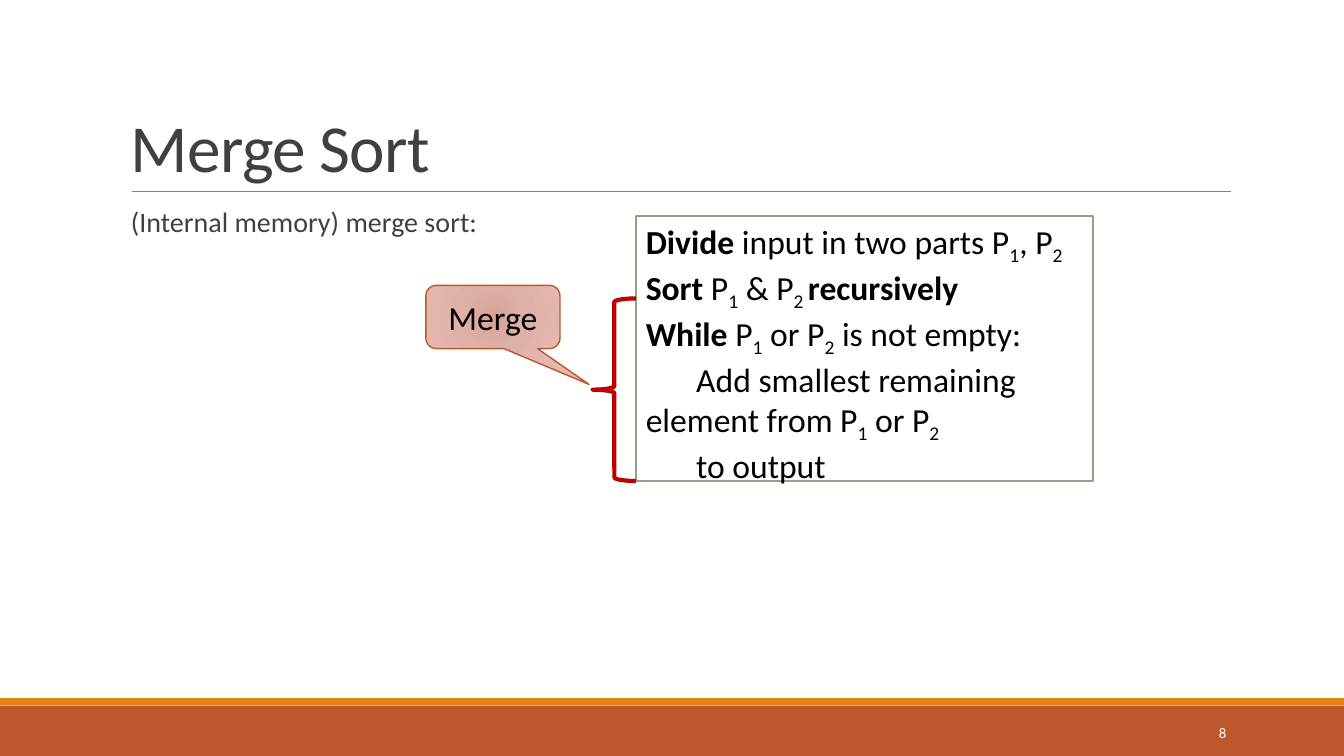
"""Build the merge sort slide."""
import lxml.etree
import pptx
import pptx.dml.color
import pptx.enum.shapes
import pptx.enum.text
import pptx.oxml.ns
import pptx.util

Pt = pptx.util.Pt
Color = pptx.dml.color.RGBColor
Kind = pptx.enum.shapes.MSO_SHAPE
Anchor = pptx.enum.text.MSO_ANCHOR
Align = pptx.enum.text.PP_ALIGN
qn = pptx.oxml.ns.qn

WHITE = Color(0xFF, 0xFF, 0xFF)
BLACK = Color(0, 0, 0)
DARK = Color(0x40, 0x40, 0x40)
GRAY = Color(0x80, 0x80, 0x80)
RUST = Color(0xBD, 0x58, 0x2C)
ORANGE = Color(0xE4, 0x83, 0x12)
SAGE = Color(0x94, 0xA0, 0x88)
RED = Color(0xC0, 0, 0)
BLUSH = [(0, "D7A197"), (45, "DEB1A8"), (100, "E6B7AE")]

TITLE = [[("Merge Sort", "")]]
INTRO = [[("(Internal memory) merge sort:", "")]]
NUMBER = [[("8", "")]]
MERGE = [[("Merge", "")]]
STEPS = [
    [("Divide", "bold"), (" input in two parts P", ""), ("1", "sub"),
     (", P", ""), ("2", "sub")],
    [("Sort", "bold"), (" P", ""), ("1", "sub"), (" & P", ""),
     ("2 ", "sub"), ("recursively", "bold")],
    [("While", "bold"), (" P", ""), ("1", "sub"), (" or P", ""),
     ("2", "sub"), (" is not empty:", "")],
    [("Add smallest remaining element from P", ""), ("1", "sub"),
     (" or P", ""), ("2", "sub")],
    [("to output", "")],
]
NESTED = 3
TAB = Pt(36)

deck = pptx.Presentation()
deck.slide_width, deck.slide_height = Pt(960), Pt(540)
slide = deck.slides.add_slide(deck.slide_layouts[6])
shapes = slide.shapes


def draw(kind, place, fill=None, line=None, width=1):
    """Add a preset shape with plain fill and line."""
    shape = shapes.add_shape(kind, *map(Pt, place))
    shape.shadow.inherit = False
    if fill is None:
        shape.fill.background()
    else:
        shape.fill.solid()
        shape.fill.fore_color.rgb = fill
    if line is None:
        shape.line.fill.background()
    else:
        shape.line.color.rgb = line
        shape.line.width = Pt(width)
    return shape


def write(shape, lines, size, color, frame=None, para=None, track=None):
    """Fill a shape with paragraphs of styled runs."""
    text = shape.text_frame
    look = {"word_wrap": True, "vertical_anchor": Anchor.TOP, **(frame or {})}
    for key, value in look.items():
        setattr(text, key, value)
    for row, parts in enumerate(lines):
        item = text.paragraphs[0] if row == 0 else text.add_paragraph()
        for key, value in {"alignment": Align.LEFT, **(para or {})}.items():
            setattr(item, key, value)
        for words, style in parts:
            run = item.add_run()
            run.text = words
            font = {"name": "Calibri", "size": Pt(size), "bold": style == "bold"}
            for key, value in font.items():
                setattr(run.font, key, value)
            run.font.color.rgb = color
            props = run._r.get_or_add_rPr()
            if style == "sub":
                props.set("baseline", "-25000")
            if track:
                props.set("spc", str(track))


def label(place, *args, **more):
    """Add a text box and write in it."""
    write(shapes.add_textbox(*map(Pt, place)), *args, **more)


def glow(shape, stops):
    """Give a shape a round gradient."""
    shape.fill.gradient()
    grad = shape._element.spPr.find(qn("a:gradFill"))
    for child in list(grad):
        grad.remove(child)
    sub = lxml.etree.SubElement
    group = sub(grad, qn("a:gsLst"))
    for at, tone in stops:
        stop = sub(group, qn("a:gs"), pos=str(at * 1000))
        sub(stop, qn("a:srgbClr"), val=tone)
    ring = sub(grad, qn("a:path"), {"path": "circle"})
    sub(ring, qn("a:fillToRect"), {side: "100000" for side in "ltrb"})


draw(Kind.RECTANGLE, (0, 504, 960, 36), RUST)
draw(Kind.RECTANGLE, (0, 498.75, 960, 5.1), ORANGE)
rule = shapes.add_connector(
    pptx.enum.shapes.MSO_CONNECTOR.STRAIGHT, Pt(94), Pt(136.8), Pt(879), Pt(136.8))
rule.line.color.rgb, rule.line.width = GRAY, Pt(0.5)
lxml.etree.SubElement(rule._element.spPr, qn("a:effectLst"))

label((86.4, 22.6, 792, 114.2), TITLE, 48, DARK, track=-50,
      frame={"vertical_anchor": Anchor.BOTTOM}, para={"line_spacing": 0.85})
label((86.4, 145.4, 792, 316.8), INTRO, 20, DARK,
      frame={"margin_right": 0}, para={"line_spacing": 0.9, "space_after": Pt(2)})
label((780, 508.6, 103, 28.8), NUMBER, 10.5, WHITE,
      frame={"vertical_anchor": Anchor.MIDDLE}, para={"alignment": Align.RIGHT})

code = draw(Kind.RECTANGLE, (454.2, 154.2, 326.4, 189.4), WHITE, SAGE, 1.25)
write(code, STEPS, 24, BLACK)
for item in code.text_frame.paragraphs[NESTED:]:
    props = item._p.get_or_add_pPr()
    props.set("marL", "0")
    props.set("indent", str(TAB))

merge = draw(Kind.ROUNDED_RECTANGULAR_CALLOUT, (304.2, 203.8, 95.8, 45.2), None, RUST)
for spot, value in enumerate((0.717, 1.066, 0.167)):
    merge.adjustments[spot] = value
glow(merge, BLUSH)
write(merge, MERGE, 24, BLACK,
      frame={"vertical_anchor": Anchor.MIDDLE}, para={"alignment": Align.CENTER})
draw(Kind.LEFT_BRACE, (423.4, 213.2, 30.8, 130.4), None, RED, 3)

deck.save("out.pptx")
